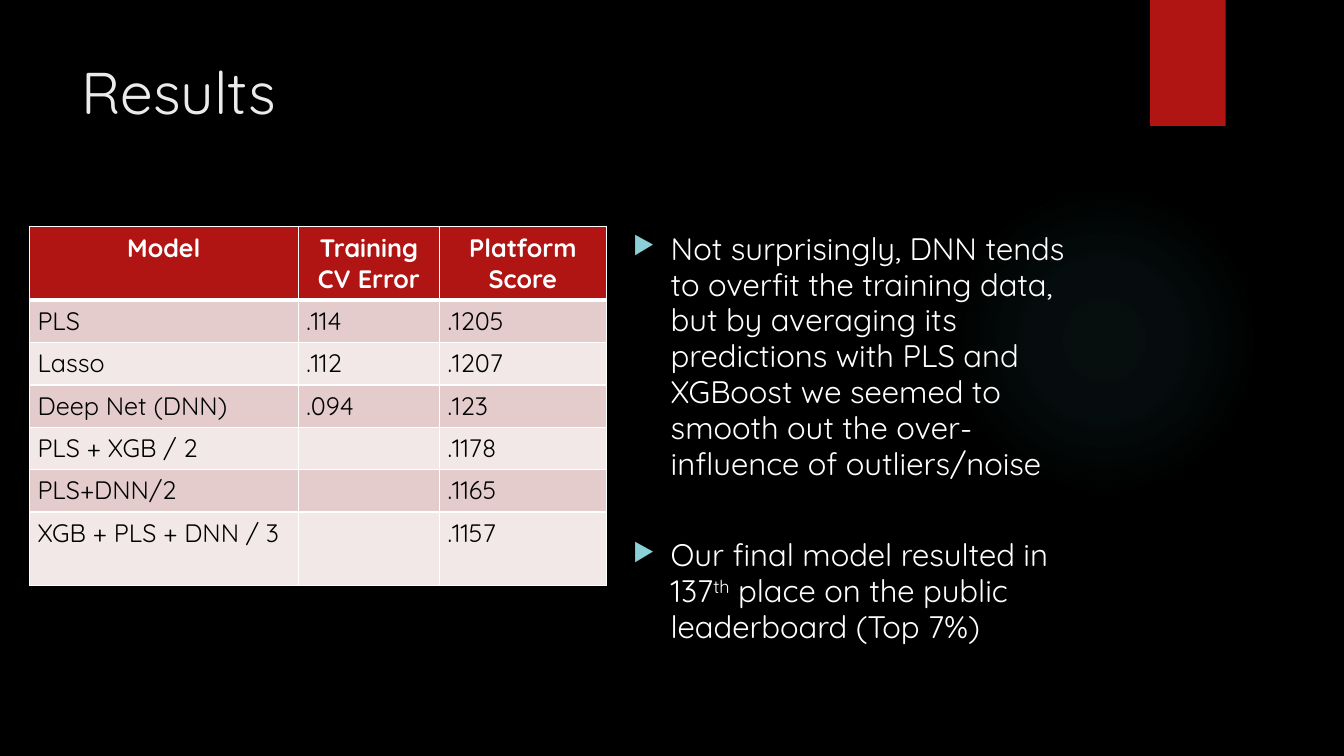
from lxml import etree
from pptx import Presentation
from pptx.dml.color import RGBColor
from pptx.enum.shapes import MSO_SHAPE as SHAPE
from pptx.enum.text import MSO_ANCHOR as ANCHOR, PP_ALIGN as ALIGN
from pptx.oxml import parse_xml
from pptx.oxml.ns import qn
from pptx.util import Pt

NS = 'xmlns:a="http://schemas.openxmlformats.org/drawingml/2006/main"'
FONT = "Quicksand"
RED, WHITE = "B01513", "FFFFFF"
BANDS = ["F2E8E7", "E4CCCC"]
COLUMNS = [192, 101, 119]
HEIGHTS = [52.5] + [30.25] * 5 + [52.5]
RESULTS = [
    ("Model", "Training CV Error", "Platform Score"),
    ("PLS", ".114", ".1205"),
    ("Lasso", ".112", ".1207"),
    ("Deep Net (DNN)", ".094", ".123"),
    ("PLS + XGB / 2", "", ".1178"),
    ("PLS+DNN/2", "", ".1165"),
    ("XGB + PLS + DNN / 3", "", ".1157"),
]
FINDINGS = [
    (0, [("Not surprisingly, DNN tends to overfit the training data, but by "
          "averaging its predictions with PLS and XGBoost we seemed to smooth "
          "out the over-influence of outliers/noise", None)]),
    (40, [("Our final model resulted in 137", None), ("th", "30000"),
          (" place on the public leaderboard (Top 7%)", None)]),
]


def rgb(color):
    return RGBColor.from_string(color)


def add_text(p, text, size=18, color="000000", bold=False, baseline=None):
    r = p.add_run()
    r.text = text
    r.font.name, r.font.size, r.font.bold = FONT, Pt(size), bold
    r.font.color.rgb = rgb(color)
    if baseline:
        r.font._element.set("baseline", baseline)


def place(sp, left, top, width, height):
    sp.left, sp.top, sp.width, sp.height = map(Pt, (left, top, width, height))


def add_shape(slide, kind, box, color):
    sp = slide.shapes.add_shape(kind, *map(Pt, box))
    sp.shadow.inherit = False
    sp.fill.solid()
    sp.fill.fore_color.rgb = rgb(color)
    sp.line.fill.background()
    return sp


def set_glow(sp, color, stops):
    gs = "".join(f'<a:gs pos="{pos * 1000}"><a:srgbClr val="{color}">'
                 f'<a:alpha val="{alpha * 1000}"/></a:srgbClr></a:gs>'
                 for pos, alpha in stops)
    grad = parse_xml(
        f'<a:gradFill {NS} rotWithShape="1"><a:gsLst>{gs}</a:gsLst>'
        '<a:path path="circle"><a:fillToRect l="50000" t="50000" r="50000" '
        'b="50000"/></a:path></a:gradFill>')
    solid = sp._element.spPr.find(qn("a:solidFill"))
    solid.getparent().replace(solid, grad)


def set_shadow(sp):
    effects = sp._element.spPr.find(qn("a:effectLst"))
    effects.append(parse_xml(
        f'<a:outerShdw {NS} blurRad="38100" dist="25400" dir="5400000" '
        'rotWithShape="0"><a:srgbClr val="000000"><a:alpha val="45000"/>'
        '</a:srgbClr></a:outerShdw>'))


def set_borders(cell, bottom):
    tcPr = cell._tc.get_or_add_tcPr()
    widths = {"lnL": 1, "lnR": 1, "lnT": 1, "lnB": bottom}
    for i, (side, width) in enumerate(widths.items()):
        tcPr.insert(i, parse_xml(
            f'<a:{side} {NS} w="{Pt(width)}"><a:solidFill>'
            f'<a:srgbClr val="{WHITE}"/></a:solidFill></a:{side}>'))


def add_results(slide):
    box = map(Pt, (21, 162, sum(COLUMNS), sum(HEIGHTS)))
    table = slide.shapes.add_table(len(RESULTS), len(COLUMNS), *box).table
    for column, width in zip(table.columns, COLUMNS):
        column.width = Pt(width)
    for i, (row, height, texts) in enumerate(zip(table.rows, HEIGHTS, RESULTS)):
        row.height = Pt(height)
        head = i == 0
        for cell, text in zip(row.cells, texts):
            cell.margin_left = cell.margin_right = Pt(5.8)
            cell.fill.solid()
            cell.fill.fore_color.rgb = rgb(RED if head else BANDS[i % 2])
            set_borders(cell, 3 if i < 1 else 1)
            p = cell.text_frame.paragraphs[0]
            p.alignment = ALIGN.CENTER if head else ALIGN.LEFT
            if text:
                add_text(p, text, color=WHITE if head else "000000", bold=head)


def set_bullet(p):
    pPr = p._p.get_or_add_pPr()
    pPr.set("marL", str(Pt(27)))
    pPr.set("indent", str(-Pt(27)))
    color = etree.SubElement(pPr, qn("a:buClr"))
    etree.SubElement(color, qn("a:srgbClr"), val="8AD0D6")
    etree.SubElement(pPr, qn("a:buSzPct"), val="80000")
    etree.SubElement(pPr, qn("a:buChar"), char="▶")


def add_findings(slide):
    tf = slide.shapes.add_textbox(*map(Pt, (445, 162, 346, 330))).text_frame
    tf.word_wrap = True
    for i, (gap, runs) in enumerate(FINDINGS):
        p = tf.add_paragraph() if i else tf.paragraphs[0]
        p.space_before = Pt(gap)
        p.line_spacing = 0.96
        set_bullet(p)
        for text, baseline in runs:
            add_text(p, text, size=22.2, color=WHITE, baseline=baseline)


def add_title(slide, text):
    title = slide.shapes.title
    place(title, 51, 36, 741, 110)
    tf = title.text_frame
    tf.vertical_anchor = ANCHOR.TOP
    p = tf.paragraphs[0]
    p.alignment = ALIGN.LEFT
    add_text(p, text, size=42, color="EBEBEB")


def main():
    prs = Presentation()
    prs.slide_width, prs.slide_height = Pt(960), Pt(540)
    slide = prs.slides.add_slide(prs.slide_layouts[5])
    slide.background.fill.solid()
    slide.background.fill.fore_color.rgb = rgb("000000")
    glow = add_shape(slide, SHAPE.OVAL, (677.5, 132, 222, 222), "50B9C1")
    set_glow(glow, "50B9C1", [(0, 7), (36, 6), (69, 0)])
    ribbon = add_shape(slide, SHAPE.RECTANGLE, (821.5, 0, 54, 90), RED)
    set_shadow(ribbon)
    add_title(slide, "Results")
    add_results(slide)
    add_findings(slide)
    prs.save("out.pptx")


if __name__ == "__main__":
    main()
